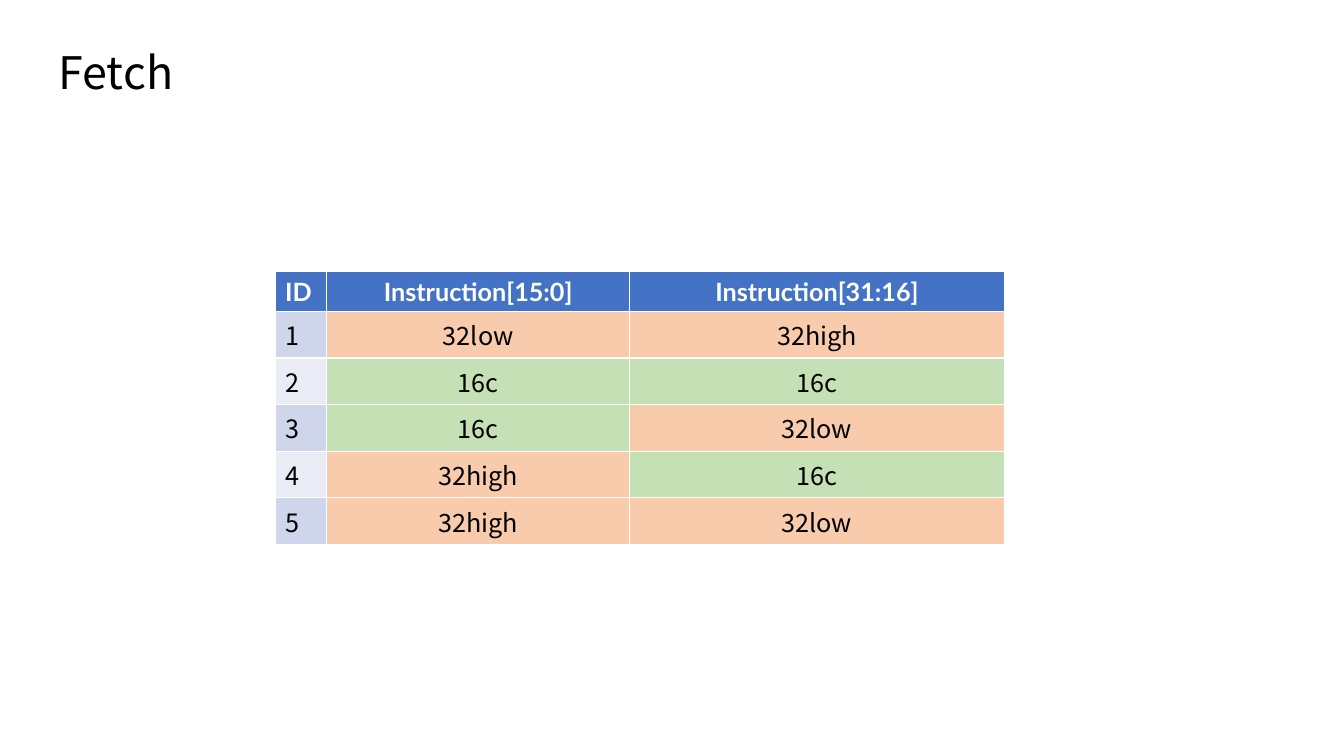
from pptx import Presentation
from pptx.dml.color import RGBColor
from pptx.enum.text import MSO_ANCHOR, PP_ALIGN
from pptx.util import Pt

LEFT, CENTER = PP_ALIGN.LEFT, PP_ALIGN.CENTER
MIDDLE = MSO_ANCHOR.MIDDLE
TITLE_ONLY = 5
HEADING_FONT, BODY_FONT = "Lato", "Noto Sans CJK SC"
BLACK, WHITE, BLUE = "000000", "FFFFFF", "4472C4"
ORANGE, GREEN = "F8CBAD", "C5E0B4"
ID_BANDS = ["CFD5EA", "E9EBF5"]

COLUMN_WIDTHS = [36.9, 216.4, 267.6]
HEADER_HEIGHT, ROW_HEIGHT = 27.4, 32
HEADINGS = ["ID", "Instruction[15:0]", "Instruction[31:16]"]
FETCHES = [
    ("32low", "32high"),
    ("16c", "16c"),
    ("16c", "32low"),
    ("32high", "16c"),
    ("32high", "32low"),
]


def color(hex_code):
    return RGBColor.from_string(hex_code)


def format_text(frame, size, font_name, hex_code, align, bold=False):
    frame.vertical_anchor = MIDDLE
    paragraph = frame.paragraphs[0]
    paragraph.alignment = align
    font = paragraph.runs[0].font
    font.size = Pt(size)
    font.name = font_name
    font.bold = bold
    font.color.rgb = color(hex_code)


def add_title(slide, left, top, width, height):
    title = slide.shapes.title
    title.left, title.top = Pt(left), Pt(top)
    title.width, title.height = Pt(width), Pt(height)
    title.text_frame.text = "Fetch"
    format_text(title.text_frame, 32, BODY_FONT, BLACK, LEFT)
    title.text_frame.paragraphs[0].line_spacing = 0.9


def fill_cell(cell, text, fill, font_name, hex_code, align, bold=False):
    cell.text_frame.text = text
    cell.vertical_anchor = MIDDLE
    cell.fill.solid()
    cell.fill.fore_color.rgb = color(fill)
    format_text(cell.text_frame, 18, font_name, hex_code, align, bold)


def add_fetch_table(slide, left, top):
    height = HEADER_HEIGHT + ROW_HEIGHT * len(FETCHES)
    table = slide.shapes.add_table(
        len(FETCHES) + 1, len(HEADINGS),
        Pt(left), Pt(top), Pt(sum(COLUMN_WIDTHS)), Pt(height)).table
    for column, width in zip(table.columns, COLUMN_WIDTHS):
        column.width = Pt(width)
    for row in table.rows:
        row.height = Pt(ROW_HEIGHT)
    table.rows[0].height = Pt(HEADER_HEIGHT)

    for col, heading in enumerate(HEADINGS):
        fill_cell(table.cell(0, col), heading, BLUE, HEADING_FONT, WHITE,
                  CENTER if col else LEFT, bold=True)
    for fetch_id, halves in enumerate(FETCHES, 1):
        fill_cell(table.cell(fetch_id, 0), str(fetch_id),
                  ID_BANDS[(fetch_id - 1) % 2], BODY_FONT, BLACK, LEFT)
        for col, half in enumerate(halves, 1):
            fill_cell(table.cell(fetch_id, col), half,
                      GREEN if half == "16c" else ORANGE,
                      BODY_FONT, BLACK, CENTER)


def main():
    deck = Presentation()
    deck.slide_width, deck.slide_height = Pt(960), Pt(540)
    slide = deck.slides.add_slide(deck.slide_layouts[TITLE_ONLY])
    add_title(slide, 34.6, 25.2, 488.9, 56.9)
    add_fetch_table(slide, 196.5, 193.6)
    deck.save("out.pptx")


if __name__ == "__main__":
    main()
